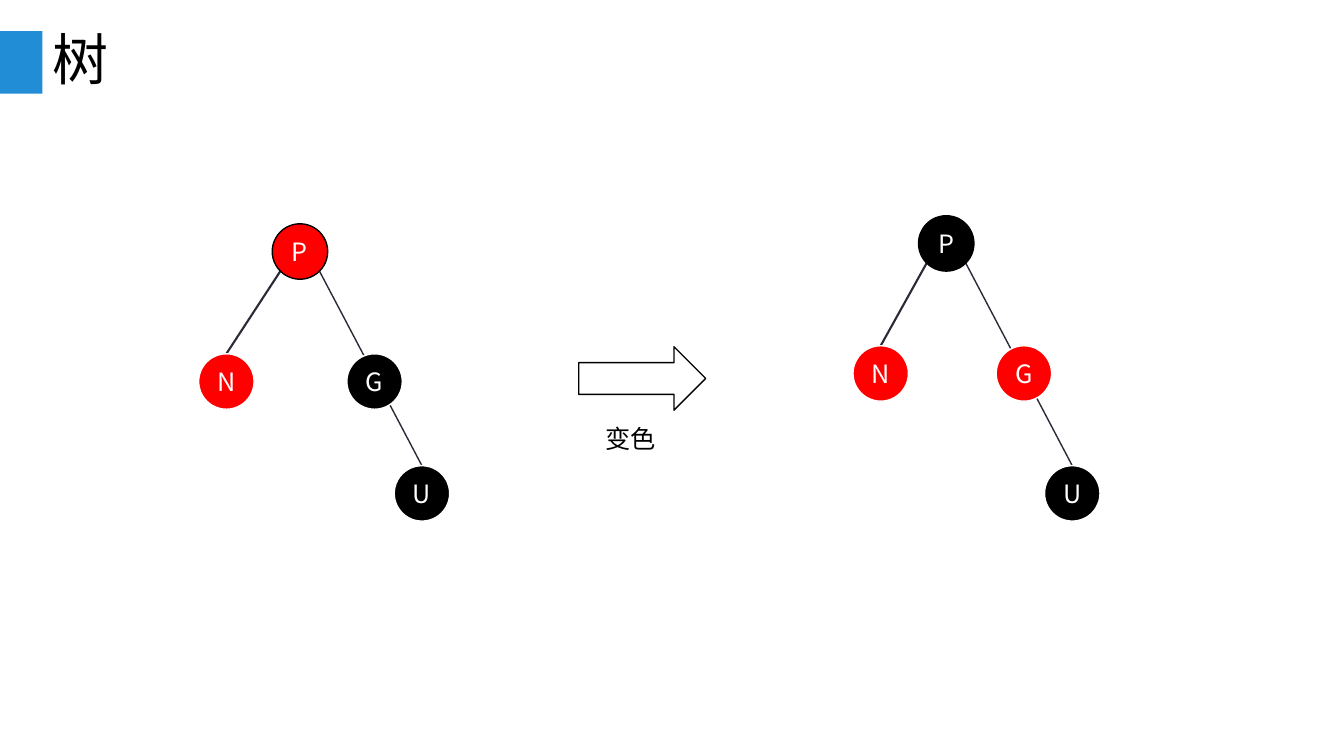
from dataclasses import dataclass

from lxml import etree
from pptx import Presentation
from pptx import util as u
from pptx.dml.color import RGBColor
from pptx.enum import shapes, text
from pptx.oxml.ns import qn


@dataclass(frozen=True)
class Theme:
    """Colours, font and type sizes of the slide."""
    accent: str = "218DD6"
    black: str = "000000"
    red: str = "FF0000"
    white: str = "FFFFFF"
    edge: str = "292B37"
    font: str = "Noto Sans CJK SC"
    title_size: int = 40
    body_size: int = 18


def write(frame, words, *, size, color, font, align=text.PP_ALIGN.LEFT,
          anchor=text.MSO_ANCHOR.MIDDLE, wrap=True, spacing=None):
    """Put one formatted line of words into a text frame."""
    frame.word_wrap = wrap
    frame.vertical_anchor = anchor
    paragraph = frame.paragraphs[0]
    paragraph.alignment = align
    if spacing:
        paragraph.line_spacing = spacing
    run = paragraph.add_run()
    run.text = words
    run.font.size = u.Pt(size)
    run.font.name = font
    run.font.color.rgb = RGBColor.from_string(color)
    etree.SubElement(run.font._element, qn("a:ea"), typeface=font)


class TreeSlide:
    """A slide measured on a grid of 133.3 columns by 75 rows."""
    COLUMNS, ROWS, NODE = 133.3, 75, 5.5

    def __init__(self, deck, theme):
        """Add a title-only slide to the deck."""
        self.theme = theme
        self.column = deck.slide_width / self.COLUMNS
        self.row = deck.slide_height / self.ROWS
        self.slide = deck.slides.add_slide(deck.slide_layouts[5])

    def place(self, left, top, width, height):
        """Turn grid measures into slide lengths."""
        return (round(left * self.column), round(top * self.row),
                round(width * self.column), round(height * self.row))

    def title(self, words, *box):
        """Move and fill the title placeholder."""
        heading = self.slide.shapes.title
        heading.left, heading.top, heading.width, heading.height = self.place(*box)
        heading.text_frame.auto_size = text.MSO_AUTO_SIZE.NONE
        write(heading.text_frame, words, size=self.theme.title_size,
              color=self.theme.black, font=self.theme.font, spacing=0.9)

    def block(self, preset, *box, fill, outline=None):
        """Draw a preset shape."""
        block = self.slide.shapes.add_shape(preset, *self.place(*box))
        block.shadow.inherit = False
        block.fill.solid()
        block.fill.fore_color.rgb = RGBColor.from_string(fill)
        if outline:
            block.line.color.rgb = RGBColor.from_string(outline)
            block.line.width = u.Pt(1)
        else:
            block.line.fill.background()
        return block

    def node(self, letter, left, top, fill, outline):
        """Draw a round tree node with its letter."""
        circle = self.block(shapes.MSO_SHAPE.OVAL, left, top, self.NODE, self.NODE,
                            fill=fill, outline=outline)
        frame = circle.text_frame
        frame.margin_left = frame.margin_right = 0
        write(frame, letter, size=self.theme.body_size, color=self.theme.white,
              font=self.theme.font, align=text.PP_ALIGN.CENTER)

    def edge(self, start, end, weight):
        """Draw a straight tree edge."""
        edge = self.slide.shapes.add_connector(
            shapes.MSO_CONNECTOR.STRAIGHT, *self.place(*start, *end))
        edge.line.color.rgb = RGBColor.from_string(self.theme.edge)
        edge.line.width = u.Pt(weight)
        etree.SubElement(edge._element.spPr, qn("a:effectLst"))

    def label(self, words, *box):
        """Write a free label."""
        label = self.slide.shapes.add_textbox(*self.place(*box))
        write(label.text_frame, words, size=self.theme.body_size,
              color=self.theme.black, font=self.theme.font,
              anchor=text.MSO_ANCHOR.TOP, wrap=False)
        label.text_frame.auto_size = text.MSO_AUTO_SIZE.SHAPE_TO_FIT_TEXT

    def tree(self, nodes):
        """Draw root P, its left edge to N and its right edge through G to U."""
        root_left, root_top = nodes["P"][:2]
        near, far = 0.15 * self.NODE, 0.85 * self.NODE
        for leaf, offset, weight in (("U", far, 1), ("N", near, 1.5)):
            leaf_left, leaf_top = nodes[leaf][:2]
            self.edge((root_left + offset, root_top + far),
                      (leaf_left + self.NODE / 2, leaf_top), weight)
        for letter, look in nodes.items():
            self.node(letter, *look)


def main():
    """Build and save the slide."""
    theme = Theme()
    black, red, white = theme.black, theme.red, theme.white
    deck = Presentation()
    deck.slide_width, deck.slide_height = u.Inches(13.33), u.Inches(7.5)
    page = TreeSlide(deck, theme)
    page.block(shapes.MSO_SHAPE.RECTANGLE, 0, 3.1, 4.2, 6.2, fill=theme.accent)
    page.title("树", 4.2, 3, 125, 6.4)
    page.tree({"P": (27, 22.2, red, black), "N": (19.7, 35.1, red, white),
               "G": (34.4, 35.1, black, white), "U": (39.1, 46.2, black, white)})
    page.block(shapes.MSO_SHAPE.RIGHT_ARROW, 57.4, 34.4, 12.6, 6.3,
               fill=white, outline=black)
    page.label("变色", 59.1, 41.5, 7.1, 4)
    page.tree({"P": (91.1, 21.4, black, black), "N": (84.6, 34.3, red, white),
               "G": (98.8, 34.3, red, white), "U": (103.6, 46.2, black, white)})
    deck.save("out.pptx")


if __name__ == "__main__":
    main()
